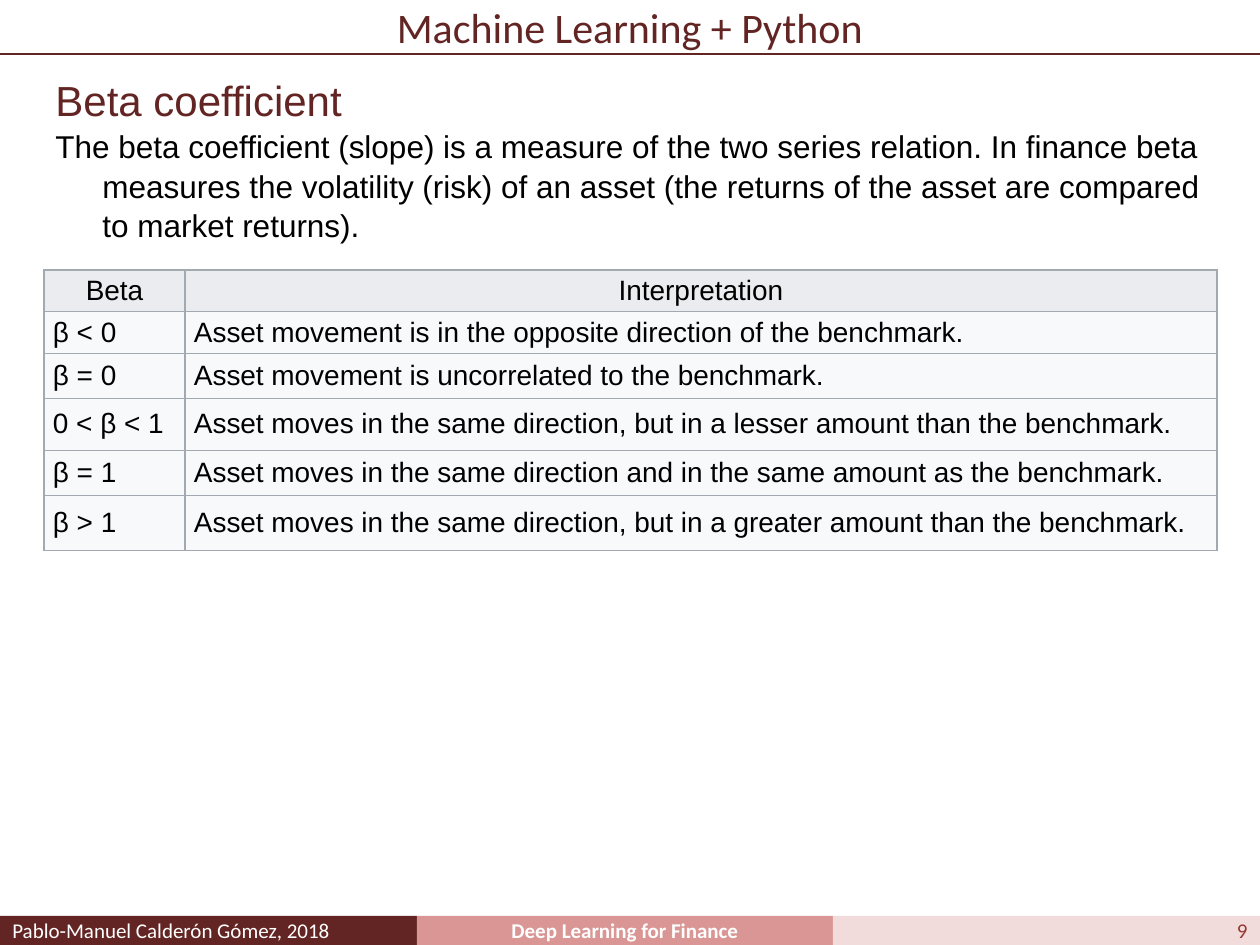
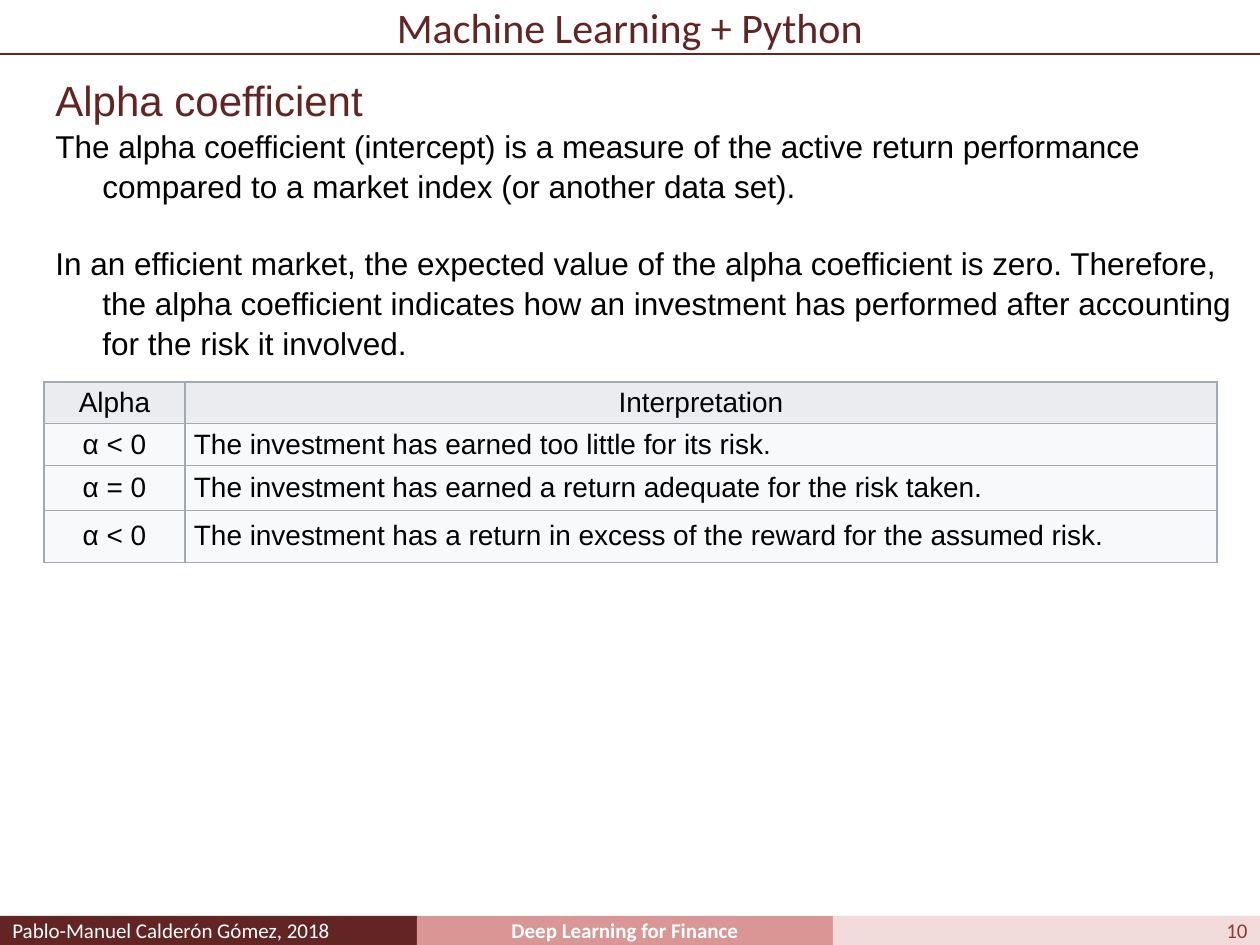
from lxml import etree
from pptx import Presentation
from pptx.dml.color import RGBColor
from pptx.enum.shapes import MSO_CONNECTOR, MSO_SHAPE
from pptx.enum.text import MSO_ANCHOR, PP_ALIGN
from pptx.oxml.ns import qn
from pptx.util import Emu, Pt

LEFT, CENTER, RIGHT, JUSTIFY = (
    PP_ALIGN.LEFT, PP_ALIGN.CENTER, PP_ALIGN.RIGHT, PP_ALIGN.JUSTIFY)
TOP, MIDDLE = MSO_ANCHOR.TOP, MSO_ANCHOR.MIDDLE
RECTANGLE, STRAIGHT = MSO_SHAPE.RECTANGLE, MSO_CONNECTOR.STRAIGHT

# Colours
MAROON = RGBColor(0x63, 0x25, 0x23)
ROSE = RGBColor(0xD9, 0x96, 0x94)
BLUSH = RGBColor(0xF2, 0xDC, 0xDB)
BRICK = RGBColor(0x95, 0x37, 0x35)
WHITE = RGBColor(0xFF, 0xFF, 0xFF)
BLACK = RGBColor(0x00, 0x00, 0x00)
HEADER_GREY = RGBColor(0xEA, 0xEC, 0xF0)
CELL_GREY = RGBColor(0xF8, 0xF9, 0xFA)
BORDER_GREY = RGBColor(0xA2, 0xA9, 0xB1)

# Shared measures, in px
PX_PER_INCH = 126
PAGE_WIDTH, PAGE_HEIGHT = 1260, 945
TITLE_HEIGHT = 54
FOOTER_TOP, FOOTER_EDGES = 916, (0, 417, 833, PAGE_WIDTH)
TABLE_LEFT, COLUMN_WIDTHS = 44, (141, 1032)
HANGING_INDENT = 47
THIN_LINE = Pt(0.75)
LINE_SPACING = 1.05

# Text formats
TITLE = {"name": "Calibri", "size": Pt(24), "color": MAROON}
HEADING = {"name": "Arial", "size": Pt(24), "color": MAROON}
BODY = {"name": "Arial", "size": Pt(18), "color": BLACK}
CELL = {"name": "Arial", "size": Pt(16), "color": BLACK}
FOOTER = {"name": "Calibri", "size": Pt(12), "color": WHITE}


def px(length):
    return Emu(round(length * 914400 / PX_PER_INCH))


class Deck:
    def __init__(self):
        self.presentation = Presentation()
        self.presentation.slide_width = px(PAGE_WIDTH)
        self.presentation.slide_height = px(PAGE_HEIGHT)
        self.page = None

    def add_page(self, number):
        """Start a page with the common title and footer."""
        layout = self.presentation.slide_layouts[6]
        self.page = self.presentation.slides.add_slide(layout)
        bands = (
            ("Pablo-Manuel Calderón Gómez, 2018", MAROON, JUSTIFY, {}),
            ("Deep Learning for Finance", ROSE, CENTER, {"bold": True}),
            (str(number), BLUSH, RIGHT, {"color": BRICK}),
        )
        for left, right, (text, fill, align, extra) in zip(
                FOOTER_EDGES, FOOTER_EDGES[1:], bands):
            self.band(left, right - left, fill, text, align, FOOTER | extra)
        self.rule(TITLE_HEIGHT)
        frame = self.text_box(0, 0, PAGE_WIDTH, TITLE_HEIGHT, MIDDLE)
        frame.margin_top = frame.margin_bottom = 0
        self.add_text(frame.paragraphs[0], "Machine Learning + Python",
                      TITLE, CENTER)

    def add_text(self, para, text, style, align=LEFT):
        para.alignment = align
        span = para.add_run()
        span.text = text
        for name, value in style.items():
            if name == "color":
                span.font.color.rgb = value
            else:
                setattr(span.font, name, value)

    def band(self, left, width, fill, text, align, style):
        box = self.page.shapes.add_shape(
            RECTANGLE, px(left), px(FOOTER_TOP), px(width),
            px(PAGE_HEIGHT - FOOTER_TOP))
        box.shadow.inherit = False
        box.fill.solid()
        box.fill.fore_color.rgb = fill
        box.line.fill.background()
        frame = box.text_frame
        frame.margin_top = frame.margin_bottom = 0
        frame.vertical_anchor = MIDDLE
        self.add_text(frame.paragraphs[0], text, style, align)

    def rule(self, top):
        line = self.page.shapes.add_connector(
            STRAIGHT, 0, px(top), px(PAGE_WIDTH), px(top))
        line.line.color.rgb = MAROON
        line.line.width = THIN_LINE
        etree.SubElement(line._element.spPr, qn("a:effectLst"))

    def text_box(self, left, top, width, height, anchor=TOP):
        box = self.page.shapes.add_textbox(
            px(left), px(top), px(width), px(height))
        frame = box.text_frame
        frame.word_wrap = True
        frame.vertical_anchor = anchor
        return frame

    def explanation(self, heading, *body):
        """Add a heading and hanging paragraphs one line apart."""
        frame = self.text_box(43, 66, 1202, 407)
        para = frame.paragraphs[0]
        para.line_spacing = LINE_SPACING
        self.add_text(para, heading, HEADING)
        for index, text in enumerate(body):
            para = frame.add_paragraph()
            para.line_spacing = LINE_SPACING
            para.space_before = Pt(21.7 if index else 0)
            indent = px(HANGING_INDENT)
            properties = para._p.get_or_add_pPr()
            properties.set("marL", str(indent))
            properties.set("indent", str(-indent))
            self.add_text(para, text, BODY)

    def table(self, top, row_heights, rows, key_align=LEFT):
        table = self.page.shapes.add_table(
            len(rows), len(COLUMN_WIDTHS), px(TABLE_LEFT), px(top),
            px(sum(COLUMN_WIDTHS)), px(sum(row_heights))).table
        table.first_row = table.horz_banding = False
        for column, width in zip(table.columns, COLUMN_WIDTHS):
            column.width = px(width)
        for row, height in zip(table.rows, row_heights):
            row.height = px(height)
        for row_index, texts in enumerate(rows):
            header = row_index == 0
            fill = HEADER_GREY if header else CELL_GREY
            aligns = (CENTER, CENTER) if header else (key_align, LEFT)
            for column_index, text in enumerate(texts):
                self.cell(table.cell(row_index, column_index), text, fill,
                          aligns[column_index])

    def cell(self, cell, text, fill, align):
        cell.fill.solid()
        cell.fill.fore_color.rgb = fill
        cell.vertical_anchor = MIDDLE
        cell.margin_left = cell.margin_right = px(9)
        cell.margin_top = cell.margin_bottom = px(4)
        self.add_text(cell.text_frame.paragraphs[0], text, CELL, align)
        properties = cell._tc.get_or_add_tcPr()
        for index, side in enumerate(("lnL", "lnR", "lnT", "lnB")):
            border = etree.Element(qn(f"a:{side}"), w=str(int(THIN_LINE)))
            solid = etree.SubElement(border, qn("a:solidFill"))
            etree.SubElement(solid, qn("a:srgbClr"), val=str(BORDER_GREY))
            properties.insert(index, border)


def main():
    deck = Deck()

    # Beta coefficient
    deck.add_page(9)
    deck.explanation(
        "Beta coefficient",
        "The beta coefficient (slope) is a measure of the two series "
        "relation. In finance beta measures the volatility (risk) of an "
        "asset (the returns of the asset are compared to market returns).")
    deck.table(270, (35, 35, 45, 52, 45, 55), (
        ("Beta", "Interpretation"),
        ("β < 0", "Asset movement is in the opposite direction of the "
                  "benchmark."),
        ("β = 0", "Asset movement is uncorrelated to the benchmark."),
        ("0 < β < 1", "Asset moves in the same direction, but in a lesser "
                      "amount than the benchmark."),
        ("β = 1", "Asset moves in the same direction and in the same amount "
                  "as the benchmark."),
        ("β > 1", "Asset moves in the same direction, but in a greater "
                  "amount than the benchmark."),
    ))

    # Alpha coefficient
    deck.add_page(10)
    deck.explanation(
        "Alpha coefficient",
        "The alpha coefficient (intercept) is a measure of the active return "
        "performance compared to a market index (or another data set).",
        "In an efficient market, the expected value of the alpha coefficient "
        "is zero. Therefore, the alpha coefficient indicates how an "
        "investment has performed after accounting for the risk it involved.")
    deck.table(382, (35, 35, 45, 52), (
        ("Alpha", "Interpretation"),
        ("α < 0", "The investment has earned too little for its risk."),
        ("α = 0", "The investment has earned a return adequate for the risk "
                  "taken."),
        ("α < 0", "The investment has a return in excess of the reward for "
                  "the assumed risk."),
    ), key_align=CENTER)

    deck.presentation.save("out.pptx")


if __name__ == "__main__":
    main()
